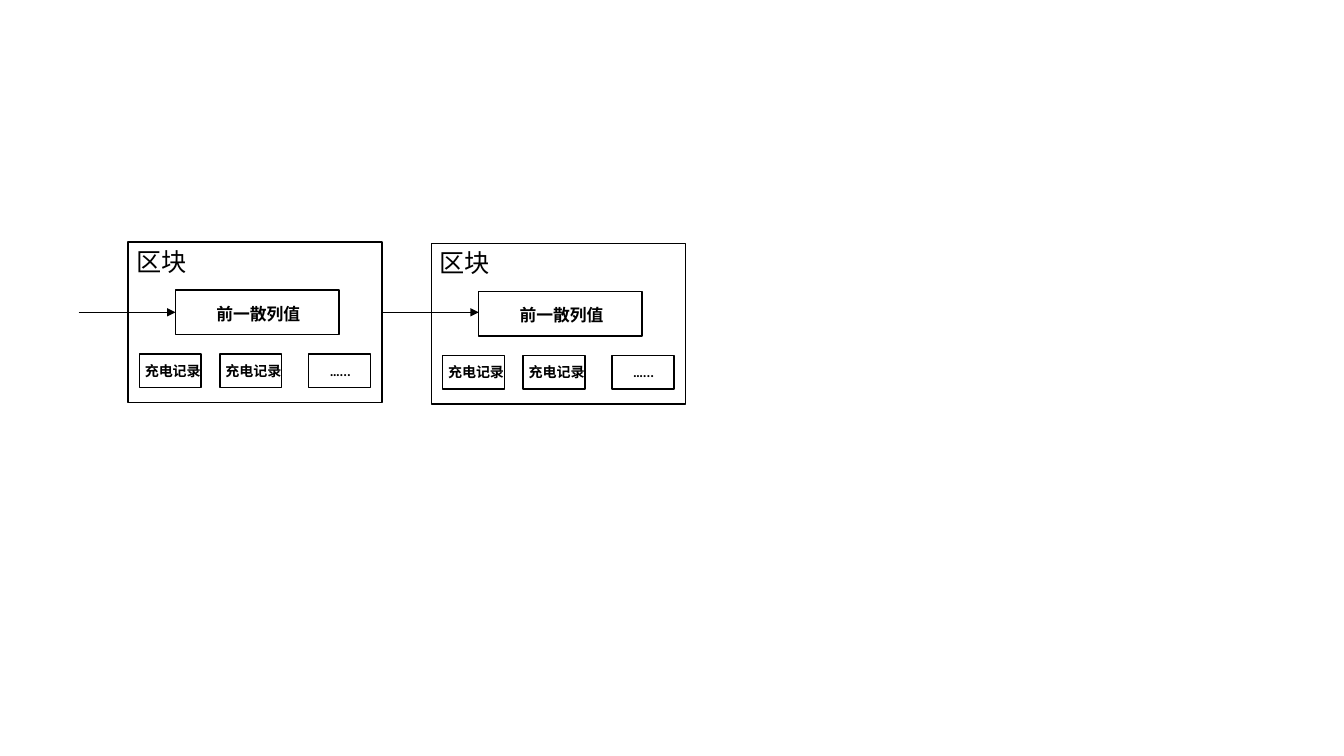
from dataclasses import dataclass

from pptx import Presentation
from pptx.dml.color import RGBColor
from pptx.enum.shapes import MSO_CONNECTOR, MSO_SHAPE
from pptx.oxml.ns import qn
from pptx.util import Cm, Inches, Pt
from lxml import etree

RECTANGLE = MSO_SHAPE.RECTANGLE
STRAIGHT = MSO_CONNECTOR.STRAIGHT


@dataclass(frozen=True)
class Theme:
    font: str = "Calibri"
    ink: RGBColor = RGBColor(0, 0, 0)
    heading: float = 18
    hash_text: float = 12
    record_text: float = 10
    frame_line: float = 1
    arrow_line: float = 0.5


@dataclass(frozen=True)
class Block:
    left: float
    top: float


@dataclass(frozen=True)
class Record:
    offset: float
    text: str
    text_shift: float
    text_width: float


THEME = Theme()

# Lengths in centimetres; offsets are measured from a block's corner
BLOCKS = (Block(3.23, 6.1), Block(10.87, 6.14))
RECORDS = (
    Record(0.28, "充电记录", -0.11, 1.93),
    Record(2.31, "充电记录", -0.11, 1.93),
    Record(4.55, "…...", 0.28, 1.04),
)
HASH_OFFSET = 1.19
RECORD_TOP = 2.82
ARROW_TOP = 7.87
ARROW_LENGTH = 2.44


def add_frame(page, left: float, top: float, width: float, height: float):
    frame = page.shapes.add_shape(RECTANGLE, Cm(left), Cm(top), Cm(width), Cm(height))
    frame.shadow.inherit = False
    frame.fill.background()
    frame.line.color.rgb = THEME.ink
    frame.line.width = Pt(THEME.frame_line)


def add_text(page, text: str, *, left: float, top: float, width: float,
             height: float, size: float, bold: bool = False):
    box = page.shapes.add_textbox(Cm(left), Cm(top), Cm(width), Cm(height))
    box.text_frame.word_wrap = False
    span = box.text_frame.paragraphs[0].add_run()
    span.text = text
    span.font.name = THEME.font
    span.font.size = Pt(size)
    span.font.bold = bold
    span.font.color.rgb = THEME.ink


def add_arrow(page, end: float, top: float):
    arrow = page.shapes.add_connector(
        STRAIGHT, Cm(end - ARROW_LENGTH), Cm(top), Cm(end), Cm(top))
    arrow.line.color.rgb = THEME.ink
    arrow.line.width = Pt(THEME.arrow_line)
    properties = arrow.element.spPr
    etree.SubElement(properties.find(qn("a:ln")), qn("a:tailEnd"), type="triangle")
    etree.SubElement(properties, qn("a:effectLst"))


def add_block(page, block: Block):
    left, top = block.left, block.top
    add_frame(page, left, top, 6.4, 4.04)
    add_text(page, "区块", left=left - 0.05, top=top - 0.03, width=1.8,
             height=1.02, size=THEME.heading)

    # Hash of the previous block
    add_frame(page, left + HASH_OFFSET, top + 1.21, 4.12, 1.12)
    add_text(page, "前一散列值", left=left + 1.97, top=top + 1.42, width=2.64,
             height=0.76, size=THEME.hash_text, bold=True)

    # Charging records
    for record in RECORDS:
        record_left = left + record.offset
        add_frame(page, record_left, top + RECORD_TOP, 1.56, 0.84)
        add_text(page, record.text, left=record_left + record.text_shift,
                 top=top + RECORD_TOP + 0.08, width=record.text_width,
                 height=0.69, size=THEME.record_text, bold=True)


deck = Presentation()
deck.slide_width, deck.slide_height = Inches(13.33), Inches(7.5)
page = deck.slides.add_slide(deck.slide_layouts[6])

# Chain of blocks, each reached by an arrow
for block in BLOCKS:
    add_block(page, block)
    add_arrow(page, block.left + HASH_OFFSET, ARROW_TOP)

deck.save("out.pptx")
